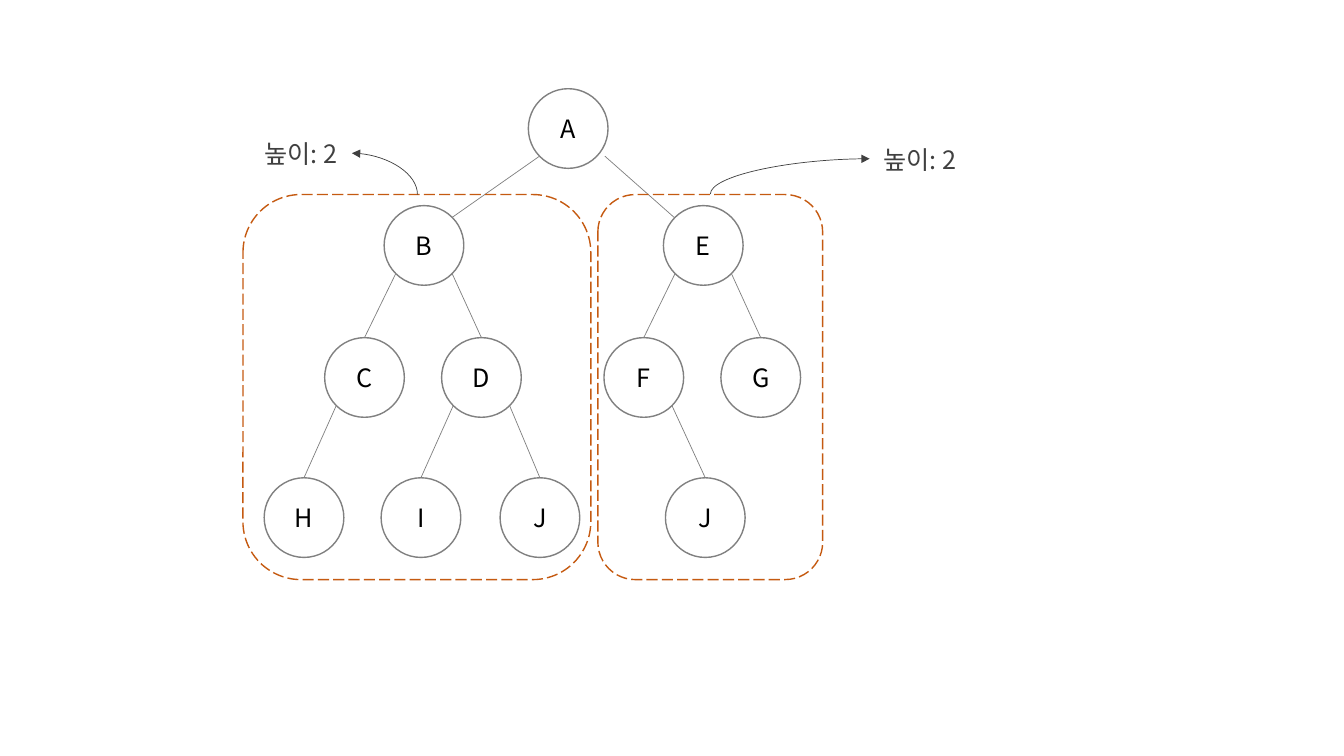
import pptx
import pptx.util
import pptx.dml.color
import pptx.enum.dml
import pptx.enum.shapes
import pptx.enum.text
import pptx.oxml.ns
import lxml.etree

Inches = pptx.util.Inches
Pt = pptx.util.Pt
RGBColor = pptx.dml.color.RGBColor
MSO_SHAPE = pptx.enum.shapes.MSO_SHAPE
MSO_CONNECTOR = pptx.enum.shapes.MSO_CONNECTOR
qn = pptx.oxml.ns.qn

FONT = "Noto Sans CJK KR"
WHITE = RGBColor(0xFF, 0xFF, 0xFF)
BLACK = RGBColor(0x00, 0x00, 0x00)
GRAY = RGBColor(0x80, 0x80, 0x80)
DARK = RGBColor(0x40, 0x40, 0x40)
ORANGE = RGBColor(0xC5, 0x5A, 0x11)

DIAMETER = 0.79
RADIUS = DIAMETER / 2
DIAGONAL = 0.28  # centre to rim at 45 degrees, along each axis
ROOT_TOP, CHILD_TOP, GRANDCHILD_TOP, LEAF_TOP = 0.88, 2.04, 3.35, 4.74


def write_text(shape, text, color):
    para = shape.text_frame.paragraphs[0]
    para.text = text
    para.alignment = pptx.enum.text.PP_ALIGN.CENTER
    font = para.runs[0].font
    font.name, font.size = FONT, Pt(18)
    font.color.rgb = color
    east_asian = lxml.etree.SubElement(font._element, qn("a:ea"))
    east_asian.set("typeface", FONT)


def add_line(kind, start, end, color):
    line = slide.shapes.add_connector(kind, *[Inches(value) for value in (*start, *end)])
    line.line.color.rgb = color
    line.line.width = Pt(0.5)
    lxml.etree.SubElement(line._element.spPr, qn("a:effectLst"))
    return line


deck = pptx.Presentation()
deck.slide_width, deck.slide_height = Inches(13.33), Inches(7.5)
slide = deck.slides.add_slide(deck.slide_layouts[6])

# Tree nodes: key -> left, top; the first letter of the key is the label
places = {
    "A": (5.24, ROOT_TOP),
    "B": (3.81, CHILD_TOP), "E": (6.58, CHILD_TOP),
    "C": (3.22, GRANDCHILD_TOP), "D": (4.38, GRANDCHILD_TOP),
    "F": (5.99, GRANDCHILD_TOP), "G": (7.15, GRANDCHILD_TOP),
    "H": (2.62, LEAF_TOP), "I": (3.78, LEAF_TOP),
    "J": (4.96, LEAF_TOP), "J right": (6.6, LEAF_TOP),
}
nodes = {}
for key, (left, top) in places.items():
    node = slide.shapes.add_shape(MSO_SHAPE.OVAL, Inches(left), Inches(top),
                                  Inches(DIAMETER), Inches(DIAMETER))
    node.shadow.inherit = False
    node.fill.solid()
    node.fill.fore_color.rgb = WHITE
    node.line.color.rgb = GRAY
    node.line.width = Pt(1)
    node.text_frame.vertical_anchor = pptx.enum.text.MSO_ANCHOR.MIDDLE
    write_text(node, key[0], BLACK)
    nodes[key] = node

# Edges from the root to the two subtrees
add_line(MSO_CONNECTOR.STRAIGHT, (5.35, 1.55), (4.48, 2.16), GRAY)
add_line(MSO_CONNECTOR.STRAIGHT, (6, 1.55), (6.69, 2.16), GRAY)

# Lower edges: from the parent's lower rim to the top of the child
for parent, child in ("BC", "BD", "EF", "EG", "CH", "DI", "DJ", ("F", "J right")):
    parent_left, parent_top = places[parent]
    child_left, child_top = places[child]
    side = 1 if child_left > parent_left else -1
    start = (parent_left + RADIUS + side * DIAGONAL, parent_top + RADIUS + DIAGONAL)
    edge = add_line(MSO_CONNECTOR.STRAIGHT, start, (child_left + RADIUS, child_top), GRAY)
    edge.end_connect(nodes[child], 0)

# Dashed frames around the subtrees
for left, width in ((2.41, 3.45), (5.93, 2.23)):
    frame = slide.shapes.add_shape(MSO_SHAPE.ROUNDED_RECTANGLE, Inches(left), Inches(1.93),
                                   Inches(width), Inches(3.82))
    frame.shadow.inherit = False
    frame.fill.background()
    frame.line.color.rgb = ORANGE
    frame.line.width = Pt(1)
    frame.line.dash_style = pptx.enum.dml.MSO_LINE.LONG_DASH

# Height labels
for left, top in ((2.49, 1.32), (8.63, 1.38)):
    label = slide.shapes.add_textbox(Inches(left), Inches(top), Inches(0.99), Inches(0.4))
    label.text_frame.word_wrap = False
    label.text_frame.auto_size = pptx.enum.text.MSO_AUTO_SIZE.SHAPE_TO_FIT_TEXT
    write_text(label, "높이: 2", DARK)

# Curved arrows: unrotated box, rotation in degrees, flips
for left, top, width, height, degrees, flips in (
    (3.61, 1.4, 0.41, 0.65, 270, ["flipV"]),
    (7.66, 0.96, 0.35, 1.58, 90, ["flipH", "flipV"]),
):
    arrow = add_line(MSO_CONNECTOR.CURVE, (left, top), (left + width, top + height), DARK)
    properties = arrow._element.spPr
    properties.find(qn("a:prstGeom")).set("prst", "curvedConnector2")
    transform = properties.find(qn("a:xfrm"))
    transform.set("rot", str(degrees * 60000))
    for flip in flips:
        transform.set(flip, "1")
    head = lxml.etree.SubElement(properties.find(qn("a:ln")), qn("a:tailEnd"))
    head.set("type", "triangle")

deck.save("out.pptx")
